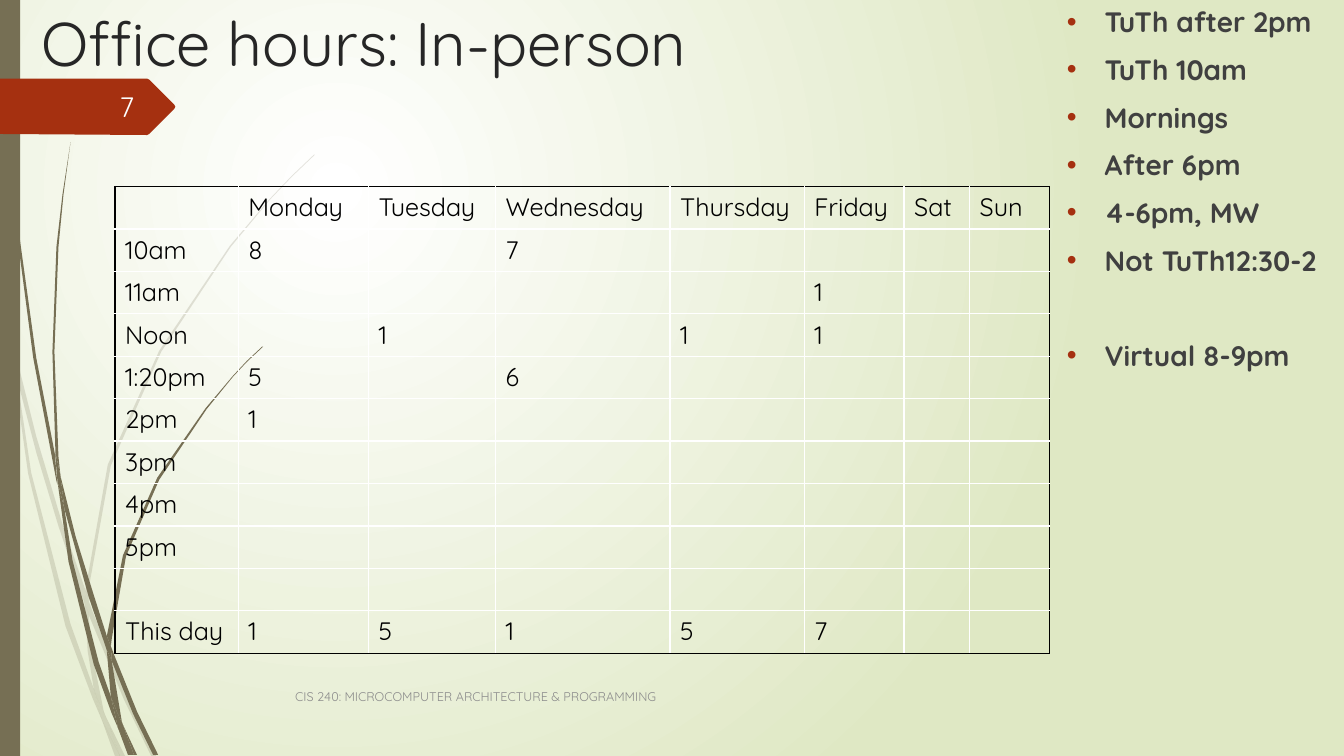
from lxml import etree
from pptx import Presentation
from pptx.dml.color import RGBColor
from pptx.enum.shapes import MSO_SHAPE as SHAPE
from pptx.enum.text import MSO_ANCHOR as ANCHOR, PP_ALIGN as ALIGN
from pptx.oxml.ns import qn
from pptx.util import Cm, Pt

FONT = "Quicksand"
OLIVE, RED = "766F54", "A53010"
UNIT = 0.0254  # cm in a hundredth of an inch, the unit of the outlines

# Corner points of each blade of grass, as x,y pairs.
PALE_WISPS = [
    "11,350 9,322 0,282 0,299 10,344",
    "58,522 84,599 85,586 62,520 36,433 14,345 17,376 36,449",
    "92,607 88,596 88,610 123,694 150,750 155,750 127,692",
    "119,750 124,750 105,711",
    "93,683 70,619 31,469 17,376 11,350 28,470 65,621 92,693 101,714 99,707",
    "84,599 87,646 93,683 96,692 105,711 103,706 91,646 88,610 88,608",
    "88,584 110,462 160,349 229,245 268,198 290,175 312,154 312,153 289,175 268,197 "
    "228,244 158,348 107,461 85,584 85,586 88,596",
    "101,714 114,750 119,750",
    "88,608 88,610 88,596 85,586 84,599",
    "96,692 93,683 99,707 101,714 119,750 105,711",
]
DARK_WISPS = [
    "7,110 17,233 33,355 56,477 57,481 55,457 55,453 36,355 19,232 8,109 5,48 4,0 3,0 4,48",
    "88,592 106,645 106,633 106,631 93,590 75,532 60,472 64,505",
    "113,649 110,641 111,656 132,708 152,749 157,749 136,706",
    "110,691 98,657 72,556 64,505 57,477 68,557 93,659 111,708 117,722 116,717",
    "60,472 58,453 54,349 58,245 63,193 70,141 62,193 56,245 52,349 55,449",
    "133,749 136,749 122,719",
    "57,477 64,505 60,472 55,449 55,453",
    "111,633 125,552 158,476 205,406 231,374 245,359 261,344 260,344 245,358 231,373 "
    "204,405 156,474 122,551 106,631 110,641",
    "117,722 127,749 131,749",
    "106,645 110,691 116,706 122,719 121,716 111,656 109,651",
    "106,645 109,651 111,656 110,641 106,631 106,633",
    "116,706 110,691 116,717 117,722 130,749 133,749 122,719",
]
TAG_OUTLINE = "0,78 146,78 148,79 173,104 174,106 173,108 148,133 146,134 0,133"

HOURS = [
    ["", "Monday", "Tuesday", "Wednesday", "Thursday", "Friday", "Sat", "Sun"],
    ["10am", "8", "", "7"],
    ["11am", "", "", "", "", "1"],
    ["Noon", "", "1", "", "1", "1"],
    ["1:20pm", "5", "", "6"],
    ["2pm", "1"],
    ["3pm"],
    ["4pm"],
    ["5pm"],
    [],
    ["This day", "1", "5", "1", "5", "7"],
]
DAY_WIDTHS = [3.1, 3.28, 3.2, 4.39, 3.38, 2.51, 1.65, 2.01]
REQUESTS = ["TuTh after 2pm", "TuTh 10am", "Mornings", "After 6pm", "4-6pm, MW", "Not TuTh12:30-2", "Virtual 8-9pm"]


def rgb(color):
    return RGBColor.from_string(color)


def sub(parent, tag, **attrs):
    return etree.SubElement(parent, qn(tag), attrs)


def paint(s, color, opacity=100):
    """Give a shape a plain fill with no line or shadow."""
    s.shadow.inherit = False
    s.line.fill.background()
    s.fill.solid()
    s.fill.fore_color.rgb = rgb(color)
    if opacity < 100:
        sub(s.element.spPr.find(".//" + qn("a:srgbClr")), "a:alpha", val=str(opacity * 1000))


def add_run(p, text, size, color, bold=False):
    r = p.add_run()
    r.text = text
    r.font.name, r.font.size, r.font.bold = FONT, Pt(size), bold
    r.font.color.rgb = rgb(color)


def add_text_box(slide, box, anchor=ANCHOR.TOP):
    tf = slide.shapes.add_textbox(*map(Cm, box)).text_frame
    tf.word_wrap = True
    tf.vertical_anchor = anchor
    return tf


def add_line_of_text(slide, box, text, size, color, anchor=ANCHOR.TOP, align=ALIGN.LEFT):
    p = add_text_box(slide, box, anchor).paragraphs[0]
    p.alignment = align
    add_run(p, text, size, color)


def add_outline(shapes, left, top, outline, color, opacity=100):
    pairs = [map(int, pair.split(",")) for pair in outline.split()]
    pts = [(Cm(left + x * UNIT), Cm(top + y * UNIT)) for x, y in pairs]
    builder = shapes.build_freeform(*pts[0])
    builder.add_line_segments(pts[1:], close=True)
    paint(builder.convert_to_shape(), color, opacity)


def add_background(slide):
    fill = slide.background.fill
    fill.gradient()
    for stop, color in zip(fill.gradient_stops, ("FFFFFF", "DFE8C4")):
        stop.color.rgb = rgb(color)
    grad = slide.element.find(".//" + qn("a:gradFill"))
    grad.remove(grad.find(qn("a:lin")))
    circle = sub(grad, "a:path", path="circle")
    sub(circle, "a:fillToRect", l="50000", t="50000", r="100000", b="100000")


def add_left_decoration(slide, left, top, height):
    for wisps, opacity in ((PALE_WISPS, 20), (DARK_WISPS, 100)):
        group = slide.shapes.add_group_shape()
        for outline in wisps:
            add_outline(group.shapes, left, top, outline, OLIVE, opacity)
    bar = slide.shapes.add_shape(SHAPE.RECTANGLE, Cm(left), Cm(top), Cm(0.51), Cm(height))
    paint(bar, OLIVE)


def add_slide_number(slide, left, top, number):
    add_outline(slide.shapes, left, top, TAG_OUTLINE, RED)
    add_line_of_text(slide, (left + 1.47, top + 2.18, 2.16, 1.02), number, 20, "FEFFFF",
                     ANCHOR.MIDDLE, ALIGN.RIGHT)


def style_cell(cell, first_row, first_col):
    """Clear the fill and rule each edge of the grid once."""
    cell.fill.background()
    tc_pr = cell._tc.get_or_add_tcPr()
    sides = ["a:lnL"] * first_col + ["a:lnR"] + ["a:lnT"] * first_row + ["a:lnB"]
    for i, side in enumerate(sides):
        ln = etree.Element(qn(side), w=str(Pt(1)))
        sub(sub(ln, "a:solidFill"), "a:srgbClr", val="000000")
        tc_pr.insert(i, ln)


def add_hours_table(slide, left, top, width, height):
    frame = slide.shapes.add_table(len(HOURS), len(DAY_WIDTHS), Cm(left), Cm(top), Cm(width), Cm(height))
    table = frame.table
    table.first_row = table.horz_banding = False
    for col, share in zip(table.columns, DAY_WIDTHS):
        col.width = Cm(width * share / sum(DAY_WIDTHS))
    for i, (row, texts) in enumerate(zip(table.rows, HOURS)):
        row.height = Cm(height / len(HOURS))
        for j, cell in enumerate(row.cells):
            style_cell(cell, i == 0, j == 0)
        for cell, text in zip(row.cells, texts):
            if text:
                add_run(cell.text_frame.paragraphs[0], text, 18, "000000")


def add_requests(slide, box):
    tf = add_text_box(slide, box)
    for i, text in enumerate(REQUESTS):
        p = tf.paragraphs[0] if i == 0 else tf.add_paragraph()
        p_pr = p._p.get_or_add_pPr()
        p_pr.set("marL", str(Cm(0.95)))
        p_pr.set("indent", str(-Cm(0.95)))
        if i:
            p.space_before = Pt(44 if text.startswith("Virtual") else 10)
        sub(sub(p_pr, "a:buClr"), "a:srgbClr", val=RED)
        sub(p_pr, "a:buFont", typeface="Arial")
        sub(p_pr, "a:buChar", char="•")
        add_run(p, text, 20, "404040", bold=True)


def main():
    prs = Presentation()
    prs.slide_width, prs.slide_height = Cm(33.87), Cm(19.05)
    slide = prs.slides.add_slide(prs.slide_layouts[6])
    add_background(slide)
    add_left_decoration(slide, 0, 0, 19.05)
    add_line_of_text(slide, (0.79, 0, 25.6, 3.56), "Office hours: In-person", 44, "262626")
    add_slide_number(slide, 0, 0, "7")
    add_hours_table(slide, 2.9, 4.7, 23.55, 11.76)
    add_requests(slide, (26.64, 0, 7.2, 10.49))
    add_line_of_text(slide, (7.19, 17.04, 21.16, 1.02), "CIS 240: MICROCOMPUTER ARCHITECTURE & PROGRAMMING",
                     9, "8C8C8C", ANCHOR.MIDDLE)
    prs.save("out.pptx")


if __name__ == "__main__":
    main()
